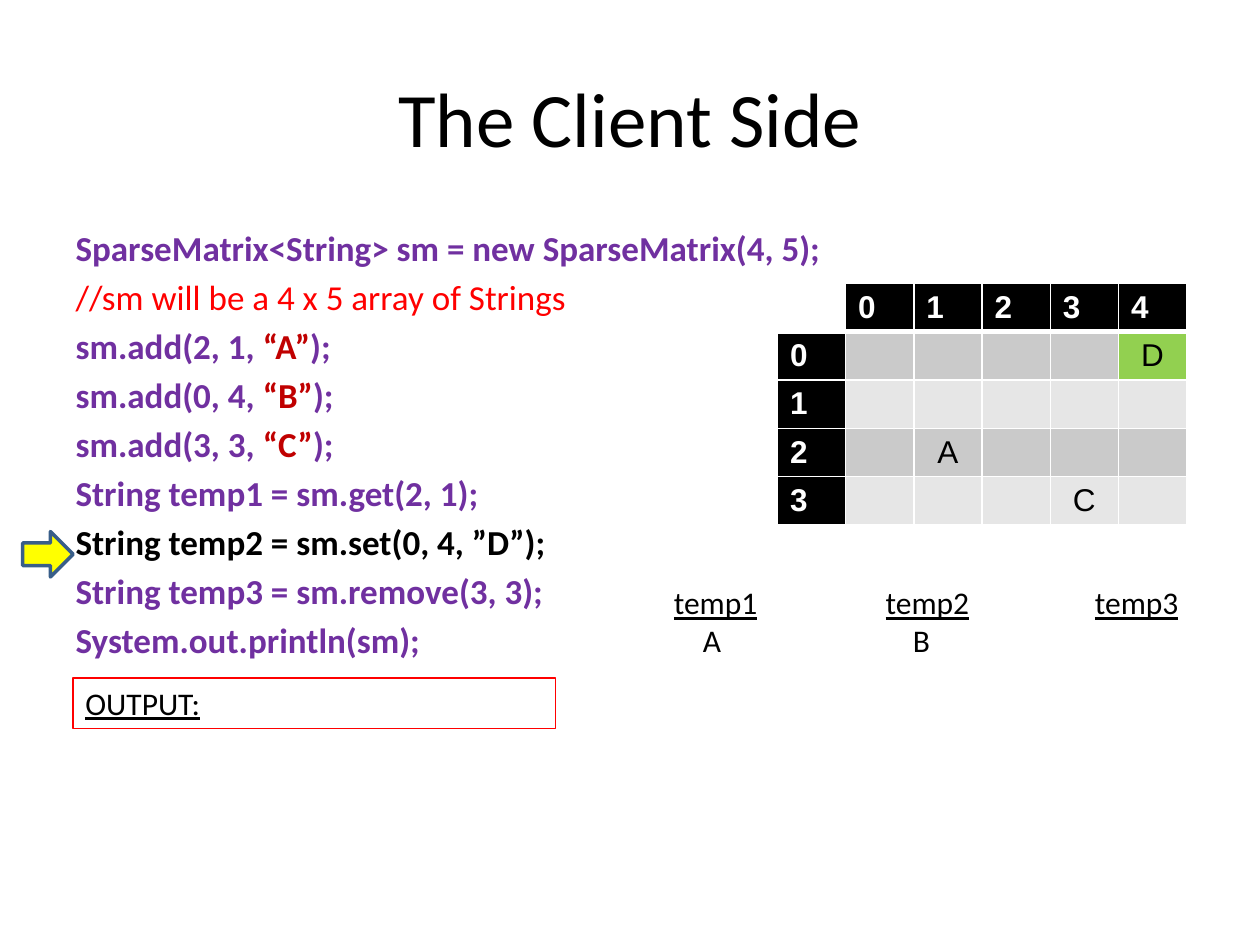
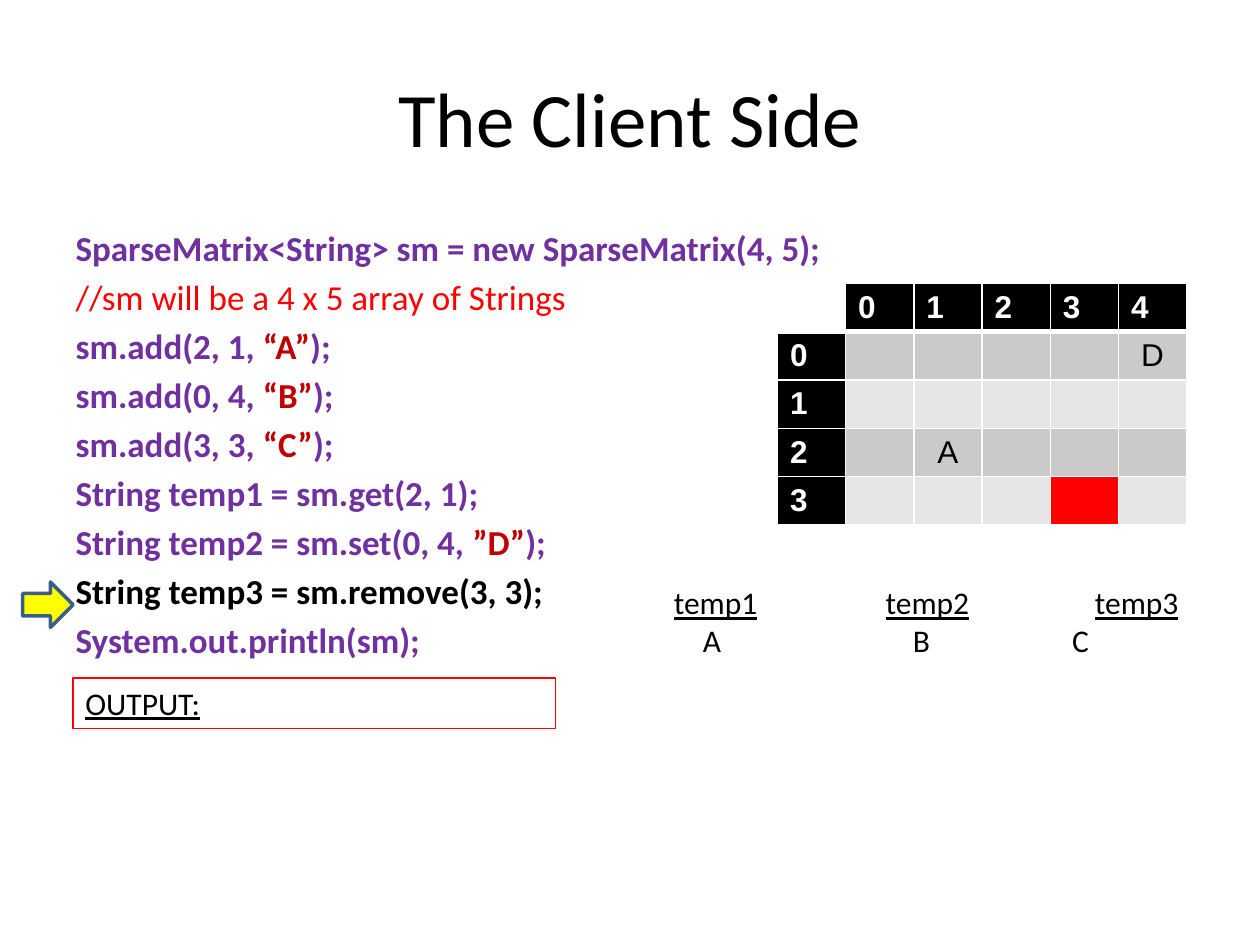
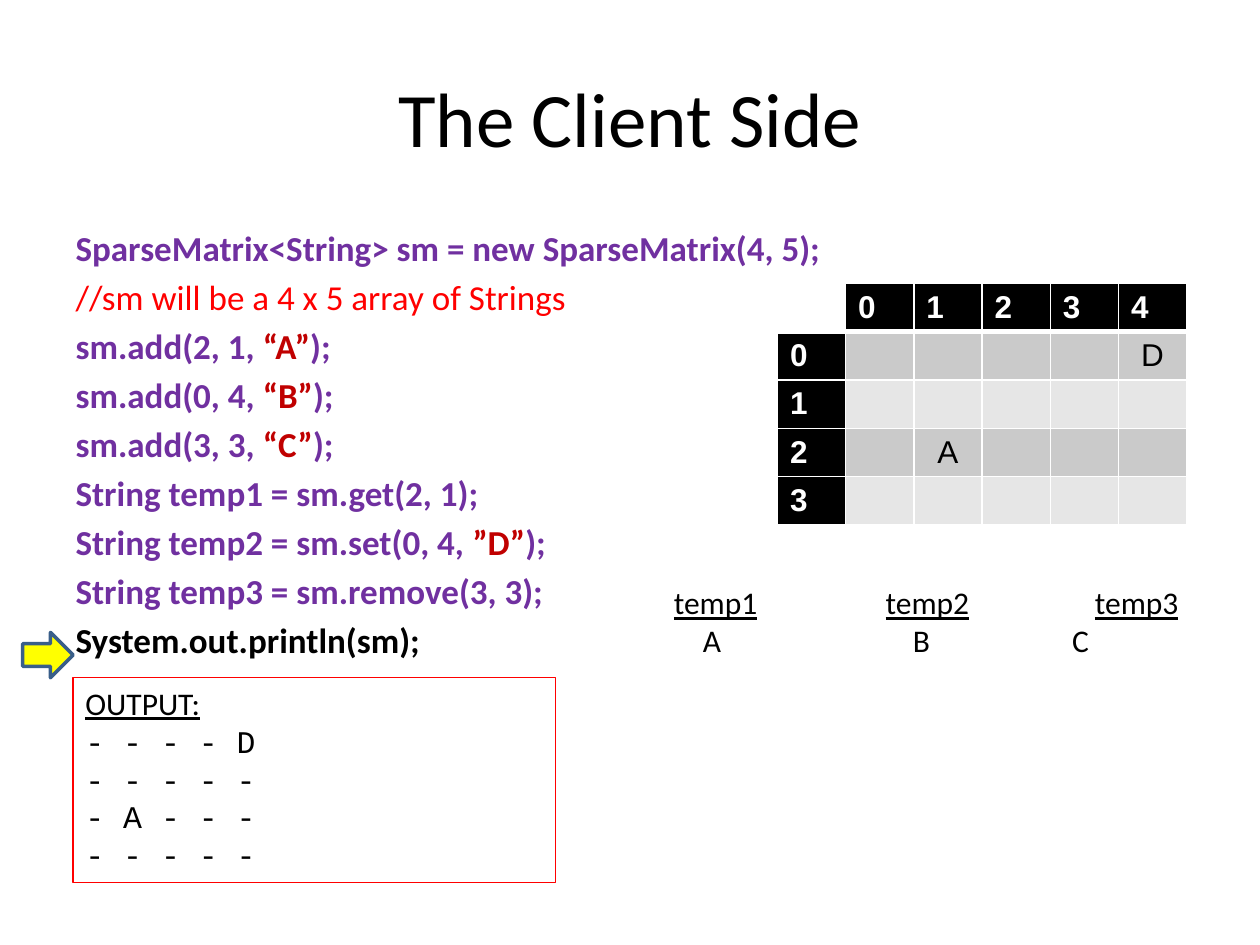
from collections import namedtuple

from lxml.etree import SubElement
from pptx import Presentation
from pptx.dml.color import RGBColor
from pptx.enum.shapes import MSO_SHAPE
from pptx.enum.text import MSO_ANCHOR, PP_ALIGN
from pptx.oxml.ns import qn
from pptx.util import Pt

Box = namedtuple("Box", "left top width height")
Step = namedtuple("Step", "current_line matrix highlight temps output")

TITLE_BOX = Box(36, 21.6, 648, 90)
CODE_BOX = Box(36, 126, 648, 356.4)
MATRIX_BOX = Box(444.25, 162, 234, 138)
TEMPS_BOX = Box(378, 329.76, 306, 51.12)
OUTPUT_BOX = Box(41.76, 387.36, 275.76, 29)

BLACK, WHITE, RED = "000000", "FFFFFF", "FF0000"
PURPLE, DARK_RED = "7030A0", "C00000"
GREEN, YELLOW, BLUE = "92D050", "FFFF00", "395E89"
BANDS = ("CACACA", "E6E6E6")

ROWS, COLUMNS = 4, 5
CODE_PITCH = 28.8
OUTPUT_PITCH = 22
NAME_TABS = (121, 240.6)
VALUE_TABS = (16.5, 136.5, 227.5)

CODE = (
    ("SparseMatrix<String> sm = new SparseMatrix(4, 5);",),
    ("//sm will be a 4 x 5 array of Strings",),
    ("sm.add(2, 1, ", "“A”", ");"),
    ("sm.add(0, 4, ", "“B”", ");"),
    ("sm.add(3, 3, ", "“C”", ");"),
    ("String temp1 = sm.get(2, 1);",),
    ("String temp2 = sm.set(0, 4, ", "”D”", ");"),
    ("String temp3 = sm.remove(3, 3);",),
    ("System.out.println(sm);",),
)

PRINTED = ("- - - - D", "- - - - -", "- A - - -", "- - - - -")

STEPS = (
    Step(6, {(0, 4): "D", (2, 1): "A", (3, 3): "C"}, {(0, 4): GREEN}, "AB", ()),
    Step(7, {(0, 4): "D", (2, 1): "A"}, {(3, 3): RED}, "ABC", ()),
    Step(8, {(0, 4): "D", (2, 1): "A"}, {}, "ABC", PRINTED),
)


def color(value):
    return RGBColor.from_string(value)


def points(box):
    return [Pt(length) for length in box]


def place(shape, box):
    shape.left, shape.top, shape.width, shape.height = points(box)


def add_run(paragraph, text, size=18, font="Calibri", ink=BLACK, bold=False, underline=False):
    run = paragraph.add_run()
    run.text = text
    run.font.size = Pt(size)
    run.font.name = font
    run.font.color.rgb = color(ink)
    run.font.bold = bold
    run.font.underline = underline


def next_paragraph(frame, index):
    return frame.add_paragraph() if index else frame.paragraphs[0]


def add_tabs(paragraph, stops):
    tab_list = SubElement(paragraph._p.get_or_add_pPr(), qn("a:tabLst"))
    for stop in stops:
        SubElement(tab_list, qn("a:tab"), pos=str(int(Pt(stop))), algn="l")


def add_title(slide, box):
    title = slide.shapes.title
    place(title, box)
    title.text_frame.vertical_anchor = MSO_ANCHOR.MIDDLE
    paragraph = title.text_frame.paragraphs[0]
    paragraph.alignment = PP_ALIGN.CENTER
    add_run(paragraph, "The Client Side", 44)


def add_code(slide, box, current_line):
    body = slide.placeholders[1]
    place(body, box)
    for index, parts in enumerate(CODE):
        paragraph = next_paragraph(body.text_frame, index)
        properties = paragraph._p.get_or_add_pPr()
        properties.set("marL", "0")
        properties.set("indent", "0")
        SubElement(properties, qn("a:buNone"))
        paragraph.space_before = Pt(4 if index else 0)
        comment = parts[0].startswith("//")
        for position, part in enumerate(parts):
            ink = DARK_RED if position == 1 else PURPLE
            if comment:
                ink = RED
            if index == current_line:
                ink = BLACK
            add_run(paragraph, part, 20, ink=ink, bold=not comment)


def add_borders(cell, bottom_width):
    properties = cell._tc.get_or_add_tcPr()
    widths = {"a:lnL": 1, "a:lnR": 1, "a:lnT": 1, "a:lnB": bottom_width}
    for index, (side, width) in enumerate(widths.items()):
        line = properties.makeelement(qn(side), {"w": str(int(Pt(width)))})
        fill = SubElement(line, qn("a:solidFill"))
        SubElement(fill, qn("a:srgbClr"), val=WHITE)
        properties.insert(index, line)


def fill_cell(cell, text, fill, header):
    cell.fill.solid()
    cell.fill.fore_color.rgb = color(fill)
    paragraph = cell.text_frame.paragraphs[0]
    if not text:
        ending = SubElement(paragraph._p, qn("a:endParaRPr"), sz="1800")
        SubElement(ending, qn("a:latin"), typeface="Arial")
    elif header:
        add_run(paragraph, text, font="Arial", ink=WHITE, bold=True)
    else:
        paragraph.alignment = PP_ALIGN.CENTER
        add_run(paragraph, text, font="Arial")


def add_matrix(slide, box, values, highlight):
    table = slide.shapes.add_table(ROWS + 1, COLUMNS + 1, *points(box)).table
    table.first_row = table.horz_banding = False
    for column in table.columns:
        column.width = Pt(box.width / (COLUMNS + 1))
    for row in table.rows:
        row.height = Pt(box.height / (ROWS + 1))
    for row in range(-1, ROWS):
        for column in range(-1, COLUMNS):
            cell = table.cell(row + 1, column + 1)
            header = row < 0 or column < 0
            if row == column == -1:
                fill_cell(cell, "", WHITE, header)
            elif header:
                fill_cell(cell, str(max(row, column)), BLACK, header)
            else:
                fill = highlight.get((row, column), BANDS[row % 2])
                fill_cell(cell, values.get((row, column), ""), fill, header)
            add_borders(cell, 3 if row < 0 else 1)


def add_temps(slide, box, values):
    frame = slide.shapes.add_textbox(*points(box)).text_frame
    frame.word_wrap = True
    names = frame.paragraphs[0]
    add_tabs(names, NAME_TABS)
    for index in range(3):
        if index:
            add_run(names, "\t")
        add_run(names, f"temp{index + 1}", underline=True)
    results = frame.add_paragraph()
    add_tabs(results, VALUE_TABS)
    for value in values:
        add_run(results, "\t" + value)


def add_output(slide, box, lines):
    height = box.height + OUTPUT_PITCH * len(lines)
    panel = slide.shapes.add_shape(MSO_SHAPE.RECTANGLE, *points(box._replace(height=height)))
    panel.shadow.inherit = False
    panel.fill.background()
    panel.line.color.rgb = color(RED)
    panel.line.width = Pt(0.75)
    frame = panel.text_frame
    frame.word_wrap = True
    frame.vertical_anchor = MSO_ANCHOR.TOP
    for index, line in enumerate(("OUTPUT:",) + lines):
        paragraph = next_paragraph(frame, index)
        paragraph.alignment = PP_ALIGN.LEFT
        font = "Courier New" if index else "Calibri"
        add_run(paragraph, line, font=font, underline=index == 0)


def add_pointer(slide, box, current_line):
    top = box.top + 5 + CODE_PITCH * current_line
    arrow_box = Box(box.left - 23, top, 28.8, 25.92)
    arrow = slide.shapes.add_shape(MSO_SHAPE.RIGHT_ARROW, *points(arrow_box))
    arrow.shadow.inherit = False
    arrow.fill.solid()
    arrow.fill.fore_color.rgb = color(YELLOW)
    arrow.line.color.rgb = color(BLUE)
    arrow.line.width = Pt(2)


def add_step(presentation, step):
    slide = presentation.slides.add_slide(presentation.slide_layouts[1])
    add_title(slide, TITLE_BOX)
    add_code(slide, CODE_BOX, step.current_line)
    add_matrix(slide, MATRIX_BOX, step.matrix, step.highlight)
    add_temps(slide, TEMPS_BOX, step.temps)
    add_output(slide, OUTPUT_BOX, step.output)
    add_pointer(slide, CODE_BOX, step.current_line)


def main():
    presentation = Presentation()
    presentation.slide_width = Pt(720)
    presentation.slide_height = Pt(540)
    for step in STEPS:
        add_step(presentation, step)
    presentation.save("out.pptx")


if __name__ == "__main__":
    main()
